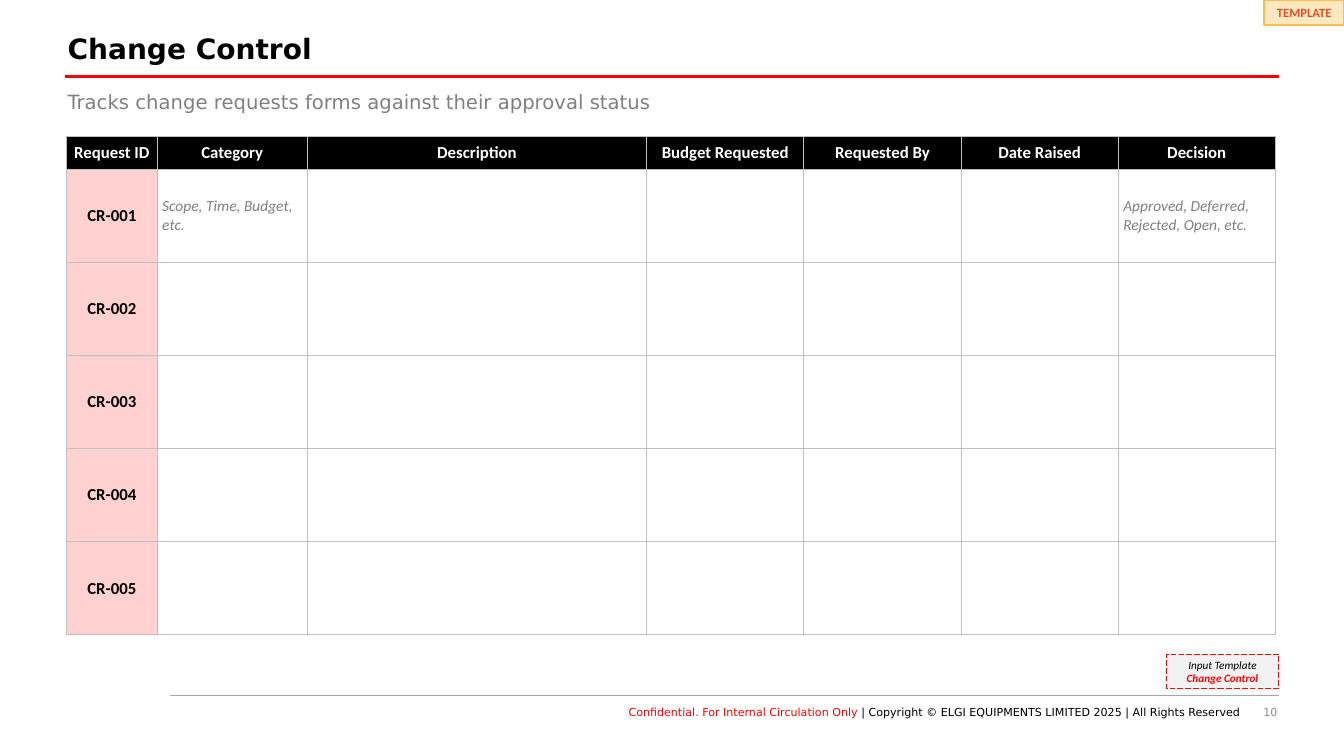
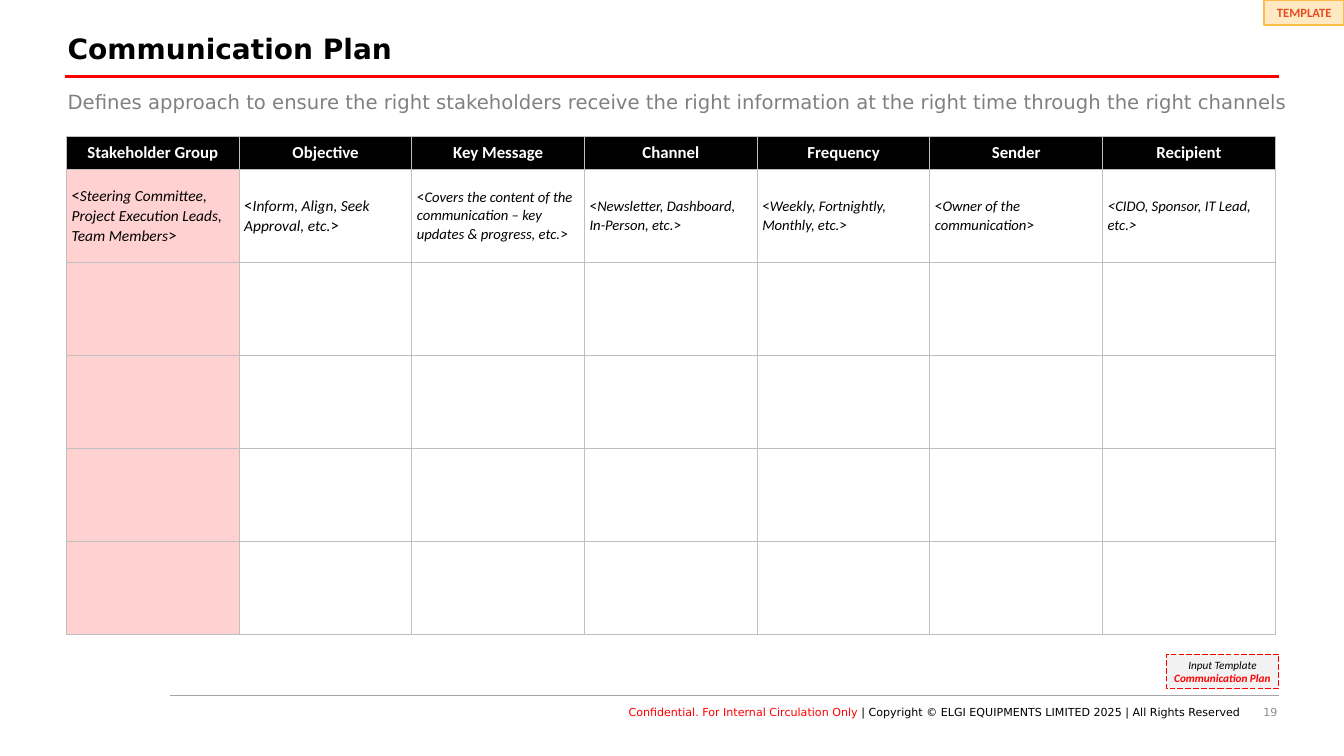
from dataclasses import dataclass

from lxml import etree
from pptx import Presentation
from pptx import util as u
from pptx.dml.color import RGBColor
from pptx.enum import dml, shapes, text
from pptx.oxml.ns import qn

COLORS = {
    "black": "000000", "white": "FFFFFF", "red": "FF0000", "pink": "FFD1D1",
    "grey": "808080", "page": "8C8C8C", "rule": "A6A6A6", "border": "BFBFBF",
    "tag": "F2F2F2", "amber": "FFBD47", "orange": "E84C22",
}
HEADING_FONT, TABLE_FONT = "DejaVu Sans", "Calibri"
TABLE_LEFT, TABLE_TOP, TABLE_WIDTH, TABLE_HEIGHT = 0.66, 1.35, 11.99, 4.95
HEADER_HEIGHT, BODY_ROWS, CELL_MARGIN = 0.33, 5, 0.05
LEFT, CENTER, RIGHT = text.PP_ALIGN.LEFT, text.PP_ALIGN.CENTER, text.PP_ALIGN.RIGHT


@dataclass(frozen=True)
class Run:
    words: str
    size: float = 12
    color: str = "black"
    bold: bool = False
    italic: bool = False


@dataclass(frozen=True)
class Cell:
    runs: tuple[Run, ...] = ()
    align: text.PP_ALIGN = LEFT


@dataclass(frozen=True)
class Page:
    title: str
    subtitle: str
    number: int
    columns: tuple[float, ...]
    headers: tuple[str, ...]
    rows: tuple[tuple[Cell, ...], ...]
    subtitle_width: float = 11.58


def rgb(name: str) -> RGBColor:
    return RGBColor.from_string(COLORS[name])


def write(paragraph, words: str, *, size: float = 12, color: str = "black",
          font: str = TABLE_FONT, bold: bool = False, italic: bool = False) -> None:
    run = paragraph.add_run()
    run.text = words
    run.font.name, run.font.size = font, u.Pt(size)
    run.font.bold, run.font.italic = bold, italic
    run.font.color.rgb = rgb(color)


def label(words: str) -> Cell:
    return Cell((Run(words, bold=True),), CENTER)


def example(words: str) -> Cell:
    return Cell((Run(words, 11, "grey", italic=True),))


def bracketed(words: str, size: float = 10.5, bracket_size: float = 11,
              slanted: bool = False) -> Cell:
    """Italic hint between angle brackets, which are upright unless slanted."""
    return Cell((Run("<", bracket_size, italic=slanted),
                 Run(words, size, italic=True),
                 Run(">", bracket_size, italic=slanted)))


def set_frame(frame, margins: tuple[float, ...], anchor=text.MSO_ANCHOR.TOP) -> None:
    frame.word_wrap = True
    frame.auto_size = text.MSO_AUTO_SIZE.NONE
    frame.vertical_anchor = anchor
    (frame.margin_left, frame.margin_top,
     frame.margin_right, frame.margin_bottom) = map(u.Inches, margins)


def place(shape, left: float, top: float, width: float, height: float) -> None:
    shape.left, shape.top = u.Inches(left), u.Inches(top)
    shape.width, shape.height = u.Inches(width), u.Inches(height)


def fill_heading(placeholder, words: str, top: float, width: float, **style) -> None:
    place(placeholder, 0.67, top, width, 0.4)
    set_frame(placeholder.text_frame, (0, 0.05, 0.1, 0.05))
    paragraph = placeholder.text_frame.paragraphs[0]
    properties = paragraph._p.get_or_add_pPr()
    properties.set("marL", "0")
    properties.set("indent", "0")
    etree.SubElement(properties, qn("a:buNone"))
    paragraph.alignment = LEFT
    paragraph.line_spacing = 0.9
    paragraph.space_before = u.Pt(0)
    write(paragraph, words, font=HEADING_FONT, **style)


def add_rule(slide, left: float, top: float, color: str, weight: float) -> None:
    line = slide.shapes.add_connector(
        shapes.MSO_CONNECTOR.STRAIGHT,
        u.Inches(left), u.Inches(top), u.Inches(12.69), u.Inches(top))
    line.line.color.rgb = rgb(color)
    line.line.width = u.Pt(weight)
    etree.SubElement(line._element.spPr, qn("a:effectLst"))


def add_footer_text(slide, left: float, width: float, runs: tuple[Run, ...]) -> None:
    box = slide.shapes.add_textbox(
        u.Inches(left), u.Inches(7), u.Inches(width), u.Inches(0.2))
    set_frame(box.text_frame, (0, 0, 0, 0))
    paragraph = box.text_frame.paragraphs[0]
    paragraph.alignment = RIGHT
    for run in runs:
        write(paragraph, run.words, size=7.9, color=run.color, font=HEADING_FONT)


def add_tag(slide, box: tuple[float, ...], fill: str, line: str, weight: float,
            lines: tuple[Run, ...], opacity: int = 100, dashed: bool = False) -> None:
    shape = slide.shapes.add_shape(
        shapes.MSO_SHAPE.RECTANGLE, *map(u.Inches, box))
    shape.shadow.inherit = False
    shape.fill.solid()
    shape.fill.fore_color.rgb = rgb(fill)
    if opacity < 100:
        color = shape._element.spPr.find(f"{qn('a:solidFill')}/{qn('a:srgbClr')}")
        etree.SubElement(color, qn("a:alpha"), val=str(opacity * 1000))
    shape.line.color.rgb = rgb(line)
    shape.line.width = u.Pt(weight)
    if dashed:
        shape.line.dash_style = dml.MSO_LINE.LONG_DASH
    set_frame(shape.text_frame, (0, 0, 0, 0), text.MSO_ANCHOR.MIDDLE)
    paragraph = shape.text_frame.paragraphs[0]
    paragraph.alignment = CENTER
    for index, run in enumerate(lines):
        if index:
            paragraph.add_line_break()
        write(paragraph, run.words, size=run.size, color=run.color,
              bold=run.bold, italic=run.italic)


def set_borders(cell) -> None:
    properties = cell._tc.get_or_add_tcPr()
    for index, side in enumerate(("lnL", "lnR", "lnT", "lnB")):
        line = etree.Element(qn(f"a:{side}"), w=str(u.Pt(0.75)))
        solid = etree.SubElement(line, qn("a:solidFill"))
        etree.SubElement(solid, qn("a:srgbClr"), val=COLORS["border"])
        properties.insert(index, line)


def fill_cell(cell, content: Cell, fill: str | None) -> None:
    if fill:
        cell.fill.solid()
        cell.fill.fore_color.rgb = rgb(fill)
    else:
        cell.fill.background()
    set_borders(cell)
    cell.vertical_anchor = text.MSO_ANCHOR.MIDDLE
    cell.margin_left = cell.margin_right = u.Inches(CELL_MARGIN)
    cell.margin_top = cell.margin_bottom = u.Inches(CELL_MARGIN)
    paragraph = cell.text_frame.paragraphs[0]
    paragraph.alignment = content.align
    for run in content.runs:
        write(paragraph, run.words, size=run.size, color=run.color,
              bold=run.bold, italic=run.italic)


def add_grid(slide, page: Page) -> None:
    count = len(page.headers)
    table = slide.shapes.add_table(
        BODY_ROWS + 1, count, u.Inches(TABLE_LEFT), u.Inches(TABLE_TOP),
        u.Inches(TABLE_WIDTH), u.Inches(TABLE_HEIGHT)).table
    table.first_row = table.horz_banding = False
    for column, share in zip(table.columns, page.columns):
        column.width = u.Inches(TABLE_WIDTH * share / sum(page.columns))
    for index, row in enumerate(table.rows):
        body_height = (TABLE_HEIGHT - HEADER_HEIGHT) / BODY_ROWS
        row.height = u.Inches(body_height if index else HEADER_HEIGHT)

    for column, words in enumerate(page.headers):
        header = Cell((Run(words, color="white", bold=True),), CENTER)
        fill_cell(table.cell(0, column), header, "black")
    for row in range(BODY_ROWS):
        contents = page.rows[row] if row < len(page.rows) else ()
        for column in range(count):
            content = contents[column] if column < len(contents) else Cell()
            fill_cell(table.cell(row + 1, column), content, None if column else "pink")


def add_page(presentation, page: Page) -> None:
    slide = presentation.slides.add_slide(presentation.slide_layouts[1])
    fill_heading(slide.shapes.title, page.title, 0.3, 11.58, size=20, bold=True)
    fill_heading(slide.placeholders[1], page.subtitle, 0.87, page.subtitle_width,
                 size=14, color="grey")
    add_footer_text(slide, 9.67, 3, (Run(str(page.number), color="page"),))
    add_footer_text(slide, 2.46, 9.84, (
        Run("Conﬁdential. For Internal Circulation Only ", color="red"),
        Run("| Copyright © ELGI EQUIPMENTS LIMITED 2025 | All Rights Reserved")))
    add_rule(slide, 1.69, 6.9, "rule", 0.5)
    add_rule(slide, 0.64, 0.76, "red", 2.25)
    add_tag(slide, (12.54, 0, 0.79, 0.25), "amber", "amber", 1.5,
            (Run("TEMPLATE", 9, "orange", bold=True),), opacity=32)
    add_grid(slide, page)
    add_tag(slide, (11.57, 6.49, 1.11, 0.34), "tag", "red", 0.5,
            (Run("Input Template", 8, italic=True),
             Run(page.title, 8, "red", bold=True, italic=True)), dashed=True)


PAGES = (
    Page(
        "Change Control",
        "Tracks change requests forms against their approval status",
        10,
        (0.9, 1.49, 3.37, 1.56, 1.56, 1.56, 1.56),
        ("Request ID", "Category", "Description", "Budget Requested",
         "Requested By", "Date Raised", "Decision"),
        ((label("CR-001"), example("Scope, Time, Budget, etc."),
          Cell(), Cell(), Cell(), Cell(),
          example("Approved, Deferred, Rejected, Open, etc.")),
         *((label(f"CR-{number:03}"),) for number in range(2, BODY_ROWS + 1))),
    ),
    Page(
        "Communication Plan",
        "Defines approach to ensure the right stakeholders receive the right "
        "information at the right time through the right channels",
        19,
        (1,) * 7,
        ("Stakeholder Group", "Objective", "Key Message", "Channel",
         "Frequency", "Sender", "Recipient"),
        ((bracketed("Steering Committee, Project Execution Leads, Team Members", 11, 12),
          bracketed("Inform, Align, Seek Approval, etc.", 11, 12),
          bracketed("Covers the content of the communication – key updates & progress, etc."),
          bracketed("Newsletter, Dashboard, In-Person, etc."),
          bracketed("Weekly, Fortnightly, Monthly, etc."),
          bracketed("Owner of the communication"),
          bracketed("CIDO, Sponsor, IT Lead, etc.", slanted=True)),),
        subtitle_width=12.38,
    ),
)


def main() -> None:
    presentation = Presentation()
    presentation.slide_width, presentation.slide_height = u.Inches(13.33), u.Inches(7.5)
    for page in PAGES:
        add_page(presentation, page)
    presentation.save("out.pptx")


if __name__ == "__main__":
    main()
